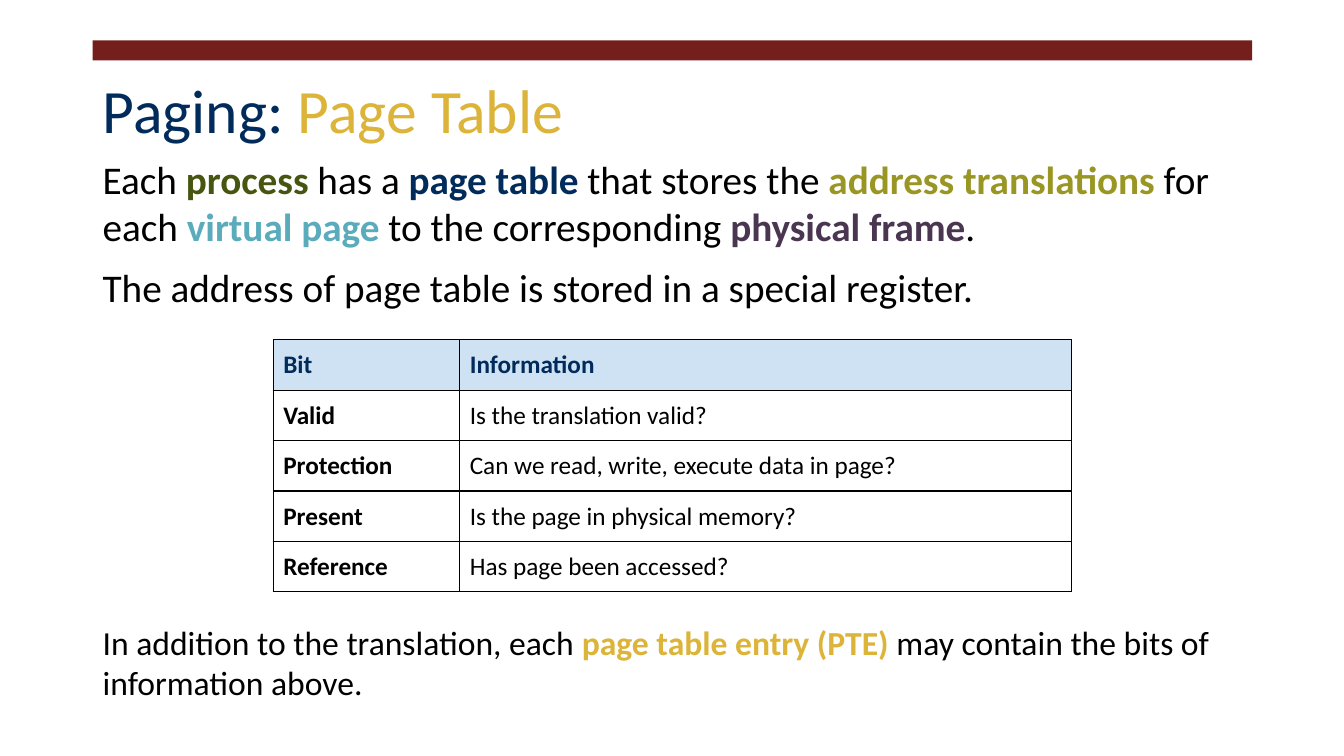
from lxml import etree
from pptx import Presentation
from pptx.dml.color import RGBColor
from pptx.enum import shapes, text
from pptx.oxml import ns
from pptx.util import Inches, Pt

FONT = "Calibri"
BLACK = RGBColor(0x00, 0x00, 0x00)
MAROON = RGBColor(0x75, 0x1F, 0x1C)
NAVY = RGBColor(0x00, 0x2B, 0x5B)
GOLD = RGBColor(0xDC, 0xB4, 0x39)
GREEN = RGBColor(0x46, 0x55, 0x10)
OLIVE = RGBColor(0x99, 0x96, 0x23)
TEAL = RGBColor(0x5A, 0xAB, 0xBC)
PLUM = RGBColor(0x4A, 0x36, 0x51)
PALE = RGBColor(0xCF, 0xE2, 0xF3)

LEFT, WIDTH, PAD = Inches(0.92), Inches(11.5), Inches(0.1)

INTRO = [
    [("Each ", None), ("process", GREEN), (" has a ", None),
     ("page table", NAVY), (" that stores the ", None),
     ("address translations", OLIVE), (" for each ", None),
     ("virtual page", TEAL), (" to the corresponding ", None),
     ("physical frame", PLUM), (".", None)],
    [("The address of page table is stored in a special register.", None)],
]
NOTE = [
    [("In addition to the translation, each ", None),
     ("page table entry (PTE)", GOLD),
     (" may contain the bits of information above.", None)],
]
BITS = [
    ("Bit", "Information"),
    ("Valid", "Is the translation valid?"),
    ("Protection", "Can we read, write, execute data in page?"),
    ("Present", "Is the page in physical memory?"),
    ("Reference", "Has page been accessed?"),
]


def write(para, words, size=28, color=BLACK, bold=False):
    run = para.add_run()
    run.text = words
    font = run.font
    font.name, font.size, font.bold = FONT, Pt(size), bold
    font.color.rgb = color


def inset(item):
    item.margin_left = item.margin_right = PAD
    item.margin_top = item.margin_bottom = PAD


def add_bar(slide):
    bar = slide.shapes.add_shape(
        shapes.MSO_SHAPE.RECTANGLE, LEFT, Inches(0.4), WIDTH, Inches(0.2))
    bar.shadow.inherit = False
    bar.fill.solid()
    bar.fill.fore_color.rgb = MAROON
    bar.line.fill.background()


def set_title(slide):
    title = slide.shapes.title
    title.left, title.top = LEFT, Inches(0.4)
    title.width, title.height = WIDTH, Inches(1.45)
    frame = title.text_frame
    inset(frame)
    frame.auto_size = text.MSO_AUTO_SIZE.NONE
    frame.vertical_anchor = text.MSO_ANCHOR.MIDDLE
    para = frame.paragraphs[0]
    para.alignment = text.PP_ALIGN.LEFT
    para.line_spacing = 0.9
    write(para, "Paging: ", size=44, color=NAVY)
    write(para, "Page Table", size=44, color=GOLD)


def add_text(slide, top, height, paras, size):
    """Coloured words are key terms and are set in bold."""
    box = slide.shapes.add_textbox(LEFT, Inches(top), WIDTH, Inches(height))
    frame = box.text_frame
    frame.word_wrap = True
    inset(frame)
    for i, parts in enumerate(paras):
        para = frame.add_paragraph() if i else frame.paragraphs[0]
        para.space_before = Pt(10 if i else 0)
        for words, color in parts:
            write(para, words, size=size, color=color or BLACK,
                  bold=color is not None)


def add_edges(cell):
    props = cell._tc.get_or_add_tcPr()
    for side in ("a:lnL", "a:lnR", "a:lnT", "a:lnB"):
        line = etree.SubElement(props, ns.qn(side), w=str(Pt(1)))
        fill = etree.SubElement(line, ns.qn("a:solidFill"))
        etree.SubElement(fill, ns.qn("a:srgbClr"), val=str(BLACK))


def add_bits(slide):
    table = slide.shapes.add_table(
        len(BITS), 2, Inches(2.71), Inches(3.37),
        Inches(7.92), Inches(2.5)).table
    table.first_row = table.horz_banding = False
    table.columns[0].width = Inches(1.85)
    table.columns[1].width = Inches(6.07)
    for r, row in enumerate(BITS):
        for c, words in enumerate(row):
            cell = table.cell(r, c)
            inset(cell)
            add_edges(cell)
            if r == 0:
                cell.fill.solid()
                cell.fill.fore_color.rgb = PALE
            else:
                cell.fill.background()
            write(cell.text_frame.paragraphs[0], words, size=18,
                  color=BLACK if r else NAVY, bold=r == 0 or c == 0)


def main():
    deck = Presentation()
    deck.slide_width, deck.slide_height = Inches(13.33), Inches(7.5)
    slide = deck.slides.add_slide(deck.slide_layouts[5])
    # Heading
    add_bar(slide)
    set_title(slide)
    # Explanation around the table
    add_text(slide, 1.44, 1.8, INTRO, 28)
    add_bits(slide)
    add_text(slide, 6.07, 1.1, NOTE, 24)
    deck.save("out.pptx")


if __name__ == "__main__":
    main()
